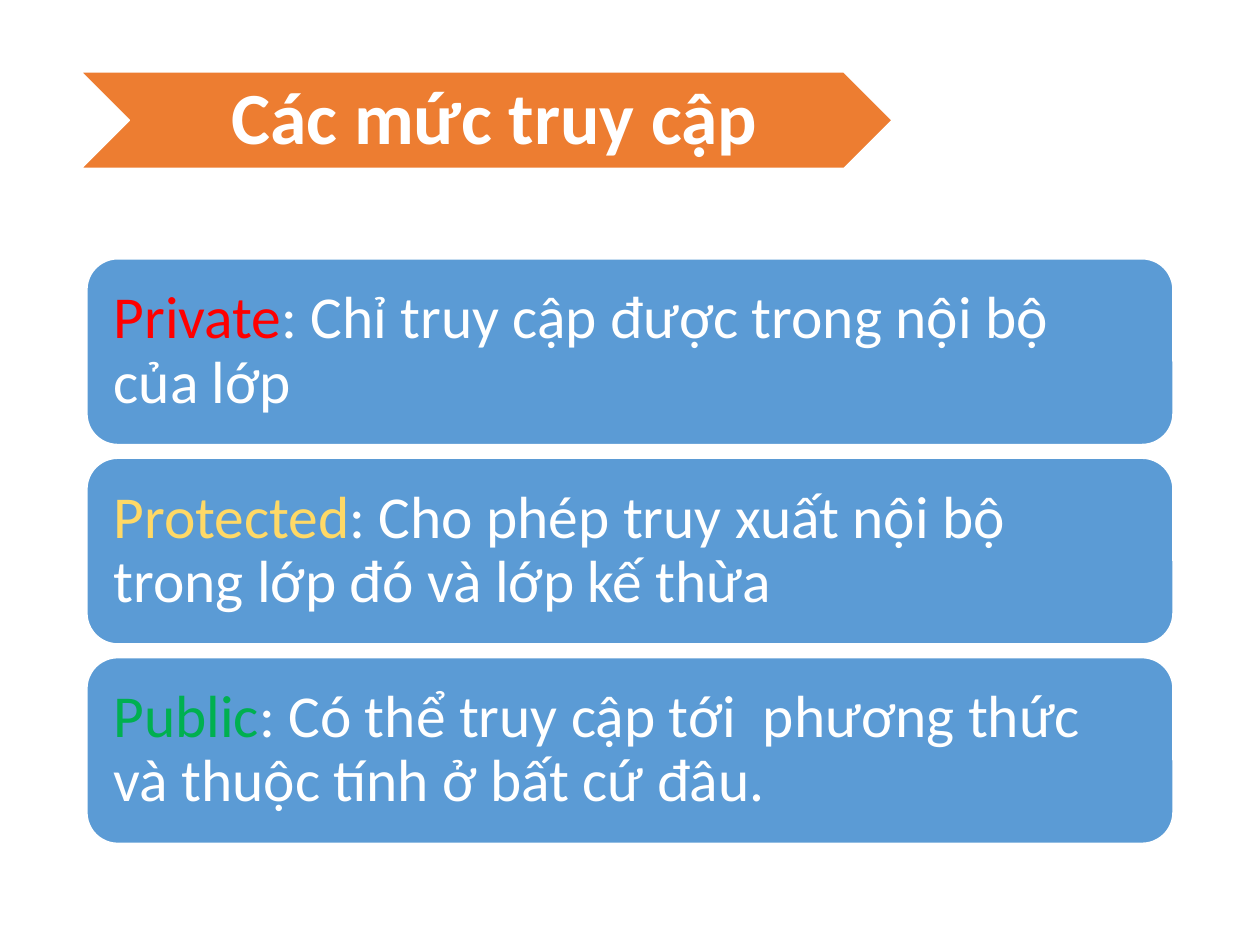
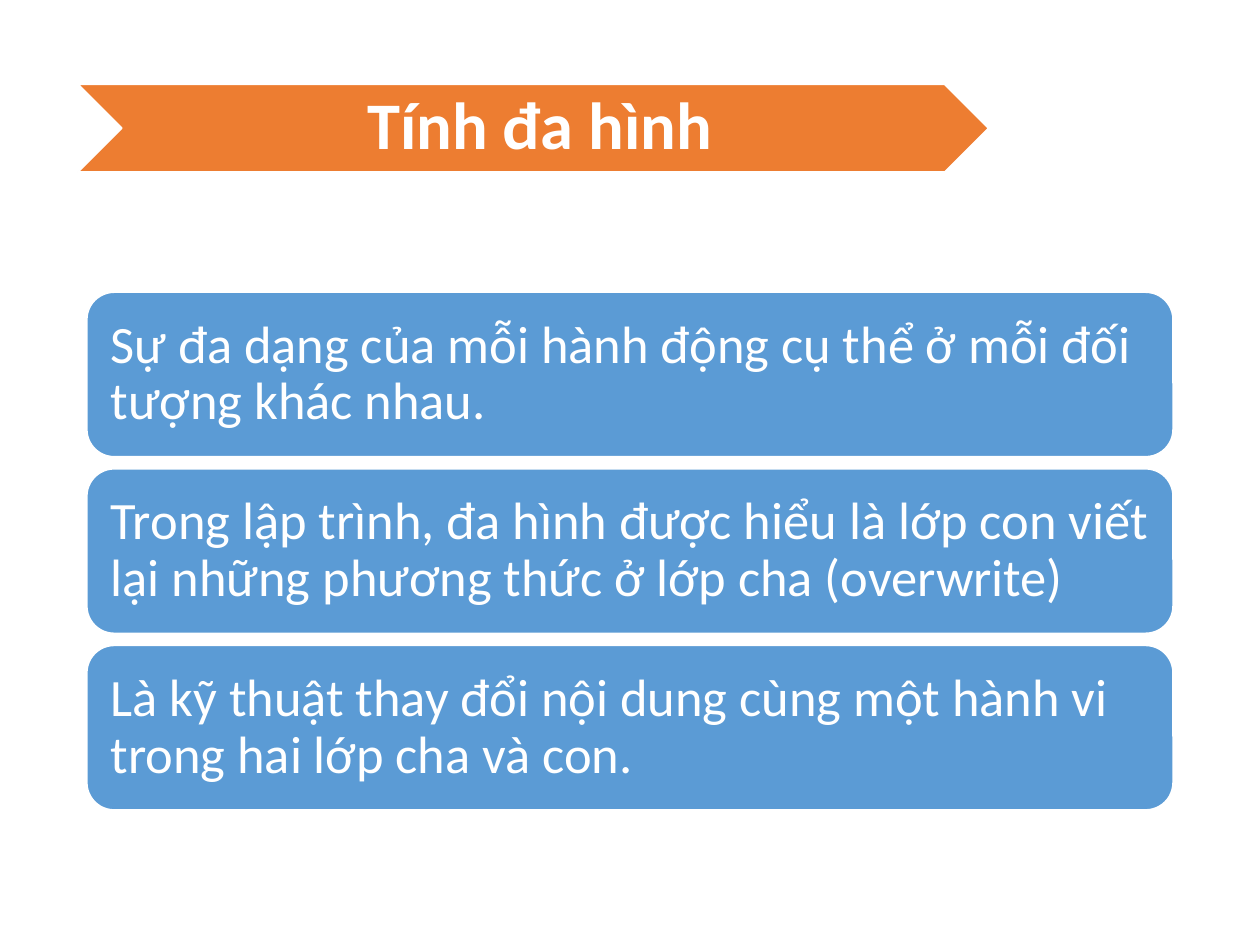
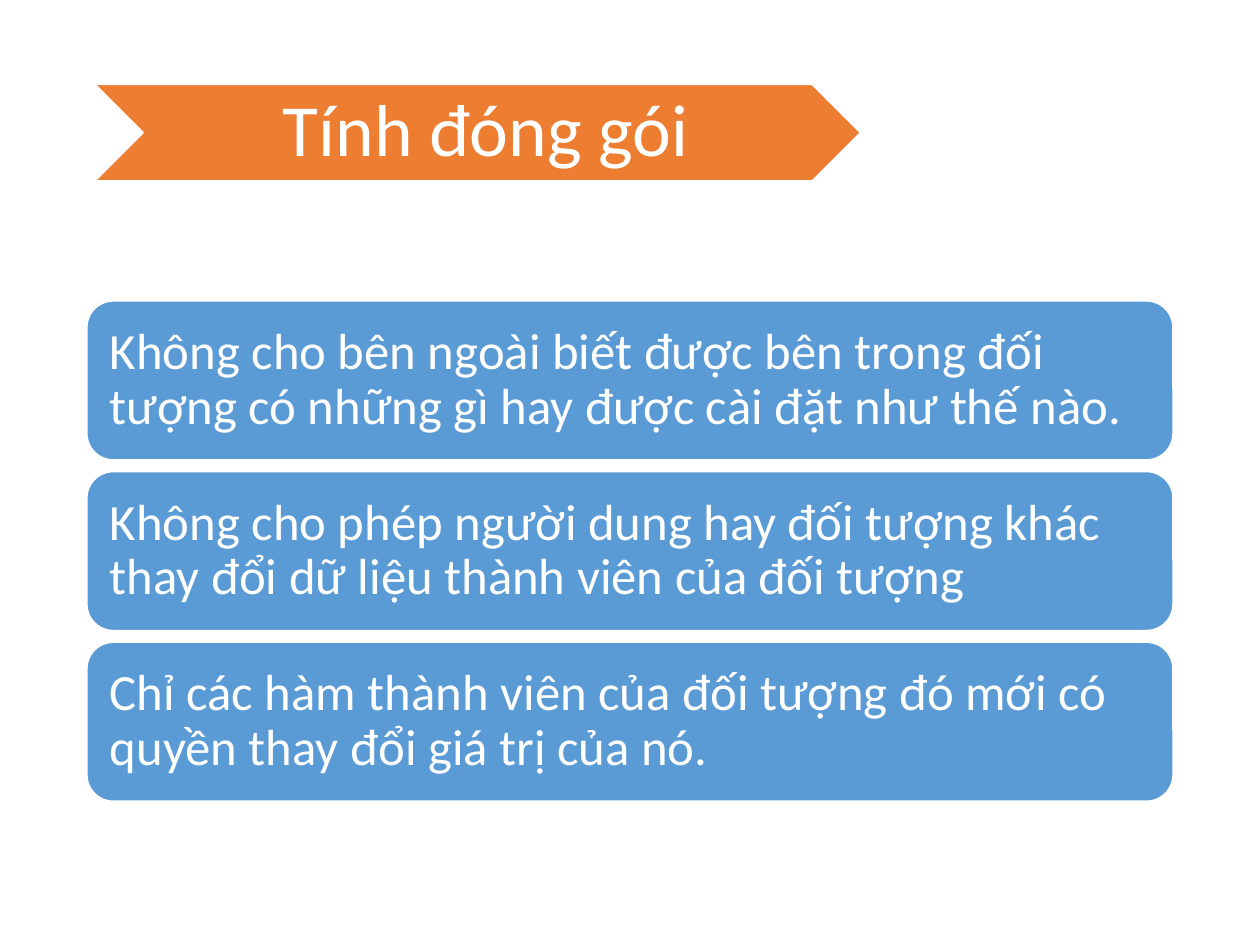
import pptx
import pptx.dml.color
import pptx.enum.shapes
import pptx.enum.text
import pptx.util

Cm = pptx.util.Cm
Pt = pptx.util.Pt
SHAPES = pptx.enum.shapes.MSO_SHAPE
ALIGN = pptx.enum.text.PP_ALIGN

# Content: each statement is a list of (text, colour) runs; lengths in cm
LESSONS = [
    {
        "title": "Các mức truy cập", "bold": True, "title_size": 42,
        "banner": (1.63, 1.45, 16.36, 1.95), "banner_inset": 0.47,
        "size": 34, "height": 3.75, "gap": 0.27, "inset": 0.36,
        "statements": [
            [("Private", "red"),
             (": Chỉ truy cập được trong nội bộ của lớp", "white")],
            [("Protected", "yellow"),
             (": Cho phép truy xuất nội bộ trong lớp đó và lớp kế thừa", "white")],
            [("Public", "green"),
             (": Có thể truy cập tới  phương thức và thuộc tính ở bất cứ đâu.", "white")],
        ],
    },
    {
        "title": "Tính đa hình", "bold": True, "title_size": 38,
        "banner": (1.57, 1.7, 18.36, 1.77), "banner_inset": 0.42,
        "size": 30, "height": 3.32, "gap": 0.24, "inset": 0.32,
        "statements": [
            [("Sự đa dạng của mỗi hành động cụ thể ở mỗi đối tượng khác nhau.", "white")],
            [("Trong lập trình, đa hình được hiểu là lớp con viết lại những "
              "phương thức ở lớp cha (overwrite)", "white")],
            [("Là kỹ thuật thay đổi nội dung cùng một hành vi trong hai lớp "
              "cha và con.", "white")],
        ],
    },
    {
        "title": "Tính đóng gói", "bold": False, "title_size": 42,
        "banner": (1.91, 1.7, 15.44, 1.95), "banner_inset": 0.47,
        "size": 29, "height": 3.21, "gap": 0.23, "inset": 0.31,
        "statements": [
            [("Không cho bên ngoài biết được bên trong đối tượng có những gì "
              "hay được cài đặt như thế nào.", "white")],
            [("Không cho phép người dung hay đối tượng khác thay đổi dữ liệu "
              "thành viên của đối tượng", "white")],
            [("Chỉ các hàm thành viên của đối tượng đó mới có quyền thay đổi "
              "giá trị của nó.", "white")],
        ],
    },
]

# Shared style
COLOURS = {
    "orange": "ED7D31", "blue": "5B9BD5", "white": "FFFFFF",
    "red": "FF0000", "yellow": "FFD966", "green": "00B050",
}
FONT = "Calibri"
SLIDE_WIDTH, SLIDE_HEIGHT = 25.4, 19.05
CARD_WIDTH = 21.9
CARDS_MIDDLE = 11.11
BANNER_EDGE = 0.15


def rgb(name):
    return pptx.dml.color.RGBColor.from_string(COLOURS[name])


def add_panel(slide, kind, box, fill, runs, size, insets, align, bold=False):
    """Draw a filled shape with a white outline and one paragraph of runs."""
    panel = slide.shapes.add_shape(kind, *(Cm(length) for length in box))
    panel.shadow.inherit = False
    panel.fill.solid()
    panel.fill.fore_color.rgb = rgb(fill)
    panel.line.color.rgb = rgb("white")
    panel.line.width = Pt(1)

    frame = panel.text_frame
    frame.word_wrap = True
    frame.vertical_anchor = pptx.enum.text.MSO_ANCHOR.MIDDLE
    (frame.margin_left, frame.margin_top,
     frame.margin_right, frame.margin_bottom) = (Cm(inset) for inset in insets)

    paragraph = frame.paragraphs[0]
    paragraph.alignment = align
    paragraph.line_spacing = 0.9
    for text, colour in runs:
        run = paragraph.add_run()
        run.text = text
        run.font.name = FONT
        run.font.size = Pt(size)
        run.font.bold = bold
        run.font.color.rgb = rgb(colour)


def add_lesson(deck, lesson):
    slide = deck.slides.add_slide(deck.slide_layouts[6])

    # Title banner
    add_panel(slide, SHAPES.CHEVRON, lesson["banner"], "orange",
              [(lesson["title"], "white")], lesson["title_size"],
              (lesson["banner_inset"],) + (BANNER_EDGE,) * 3,
              ALIGN.CENTER, lesson["bold"])

    # Statement cards, stacked around a common middle
    height, gap = lesson["height"], lesson["gap"]
    count = len(lesson["statements"])
    left = (SLIDE_WIDTH - CARD_WIDTH) / 2
    top = CARDS_MIDDLE - (count * height + (count - 1) * gap) / 2
    for row, statement in enumerate(lesson["statements"]):
        box = (left, top + row * (height + gap), CARD_WIDTH, height)
        add_panel(slide, SHAPES.ROUNDED_RECTANGLE, box, "blue", statement,
                  lesson["size"], (lesson["inset"],) * 4, ALIGN.LEFT)


def main():
    deck = pptx.Presentation()
    deck.slide_width, deck.slide_height = Cm(SLIDE_WIDTH), Cm(SLIDE_HEIGHT)
    for lesson in LESSONS:
        add_lesson(deck, lesson)
    deck.save("out.pptx")


if __name__ == "__main__":
    main()
